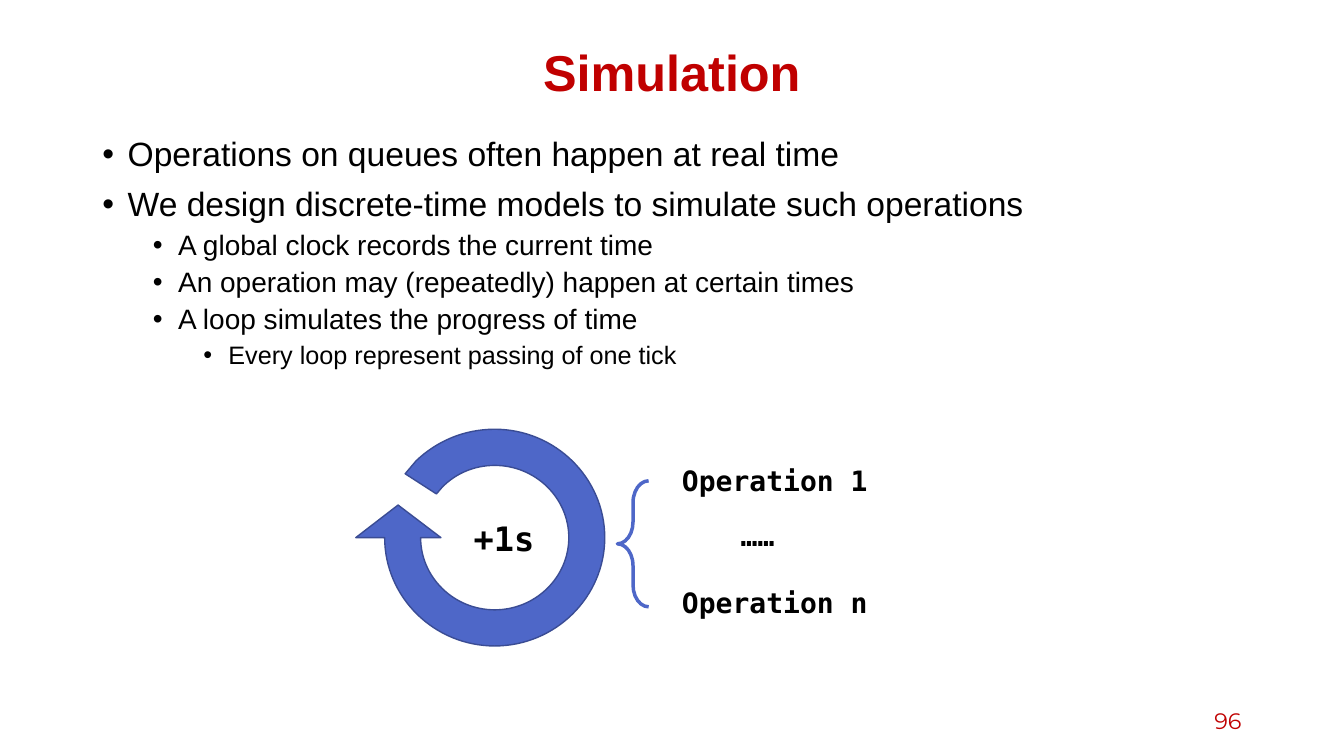
import pptx
import pptx.util
import pptx.dml.color
import pptx.enum.text
import pptx.enum.shapes
import pptx.oxml.ns
import lxml.etree

RED = pptx.dml.color.RGBColor(0xC0, 0x00, 0x00)
BLACK = pptx.dml.color.RGBColor(0x00, 0x00, 0x00)
BLUE = pptx.dml.color.RGBColor(0x4E, 0x67, 0xC8)
NAVY = pptx.dml.color.RGBColor(0x3A, 0x4C, 0x94)
SANS, MONO, THIN = "Arial", "DejaVu Sans Mono", "Montserrat"
ALIGN = pptx.enum.text.PP_ALIGN
MID = pptx.enum.text.MSO_ANCHOR.MIDDLE
TOP = pptx.enum.text.MSO_ANCHOR.TOP

TITLE = "Simulation"
POINTS = [
    (0, "Operations on queues often happen at real time"),
    (0, "We design discrete-time models to simulate such operations"),
    (1, "A global clock records the current time"),
    (1, "An operation may (repeatedly) happen at certain times"),
    (1, "A loop simulates the progress of time"),
    (2, "Every loop represent passing of one tick"),
]
LEVELS = [(24, 10), (20, 5), (18, 5)]
LABELS = [
    ("+1s", (55.2, 61.1, 10, 6), 24),
    ("Operation 1", (80, 54.6, 26.5, 5.3), 20),
    ("Operation n", (80, 69.1, 26.5, 5.3), 20),
    ("……", (87, 61.1, 13.3, 5.3), 20),
]
PAGE = "96"

COLS, ROWS = 160, 90
HUB = (58.9, 64)
OUTER, INNER = (13.1, 12.9), (8.82, 8.6)
BEND = 0.55
UP, RIGHT, DOWN, LEFT = (0, -1), (1, 0), (0, 1), (-1, 0)
HEAD = [(42.36, 64), (47.4, 60.12), (52.5, 64), (50.08, 64)]
INEND = [(56.4, 55.4), (54.24, 56.4), (52.68, 57.96)]
TAIL = [(51.96, 58.8), (48.24, 56.4), (49.56, 54.84)]
OUTEND = [(51.96, 52.56), (55.2, 51.1), (58.9, 51.1)]
PIVOT = (57.18, 64)
BRACE = (73.5, 57.24, 3.72, 15)

deck = pptx.Presentation()
deck.slide_width = pptx.util.Inches(40 / 3)
deck.slide_height = pptx.util.Inches(7.5)
slide = deck.slides.add_slide(deck.slide_layouts[1])
shapes = slide.shapes


def spot(x, y):
    return round(x * deck.slide_width / COLS), round(y * deck.slide_height / ROWS)


def place(shape, box):
    shape.left, shape.top = spot(*box[:2])
    shape.width, shape.height = spot(*box[2:])


def write(para, text, size, font=SANS, color=BLACK, bold=False,
          align=None, lines=None, before=0):
    para.alignment = align
    para.line_spacing = lines
    para.space_before = pptx.util.Pt(before)
    run = para.add_run()
    run.text = text
    run.font.size = pptx.util.Pt(size)
    run.font.name = font
    run.font.bold = bold
    run.font.color.rgb = color


def bullet(para, level):
    para.level = level
    props = para._p.get_or_add_pPr()
    props.set("marL", str(pptx.util.Inches(0.25 + level / 2)))
    props.set("indent", str(-pptx.util.Inches(0.25)))
    for tag, key, value in (("a:buFont", "typeface", SANS), ("a:buChar", "char", "•")):
        mark = lxml.etree.SubElement(props, pptx.oxml.ns.qn(tag))
        mark.set(key, value)


def label(text, box, size, anchor=TOP, **style):
    shape = shapes.add_textbox(0, 0, 0, 0)
    place(shape, box)
    frame = shape.text_frame
    frame.word_wrap = True
    frame.vertical_anchor = anchor
    write(frame.paragraphs[0], text, size, **style)


def rim(radii, *stops):
    for a, b in zip(stops, stops[1:]):
        sides = [(a[0] + BEND * b[0], a[1] + BEND * b[1]),
                 (b[0] + BEND * a[0], b[1] + BEND * a[1]), b]
        yield [(HUB[0] + radii[0] * x, HUB[1] + radii[1] * y) for x, y in sides]


def turn(x, y):
    return spot(PIVOT[0] + PIVOT[1] - y, PIVOT[1] + x - PIVOT[0])


def trace(start, steps):
    dots = [turn(*dot) for step in steps for dot in step]
    pen = shapes.build_freeform(*turn(*start))
    pen.add_line_segments(dots, close=True)
    shape = pen.convert_to_shape()
    lines = list(shape._element.iter(pptx.oxml.ns.qn("a:lnTo")))
    for step in steps:
        group, lines = lines[:len(step)], lines[len(step):]
        if len(step) == 3:
            curve = lxml.etree.Element(pptx.oxml.ns.qn("a:cubicBezTo"))
            group[0].addprevious(curve)
            for line in group:
                curve.append(line[0])
                line.getparent().remove(line)
    shape.rotation = 270
    return shape


def paint(shape, color, width):
    shape.shadow.inherit = False
    shape.line.color.rgb = color
    shape.line.width = pptx.util.Pt(width)


title = shapes.title
place(title, (11, 4.8, 138, 8.4))
title.text_frame.vertical_anchor = MID
write(title.text_frame.paragraphs[0], TITLE, 36, color=RED, bold=True,
      align=ALIGN.CENTER, lines=0.9)

body = slide.placeholders[1]
place(body, (11, 15.78, 138, 66.1))
frame = body.text_frame
frame.auto_size = pptx.enum.text.MSO_AUTO_SIZE.NONE
frame.vertical_anchor = TOP
for i, (level, text) in enumerate(POINTS):
    para = frame.add_paragraph() if i else frame.paragraphs[0]
    bullet(para, level)
    size, gap = LEVELS[level]
    write(para, text, size, lines=0.9, before=gap if i else 0)

ring = [*rim(OUTER, UP, RIGHT, DOWN, LEFT), *([dot] for dot in HEAD),
        *rim(INNER, LEFT, DOWN, RIGHT, UP), INEND,
        *([dot] for dot in TAIL), OUTEND]
loop = trace(OUTEND[-1], ring)
loop.fill.solid()
loop.fill.fore_color.rgb = BLUE
paint(loop, NAVY, 1)

for text, box, size in LABELS:
    label(text, box, size, font=MONO, bold=True)

brace = shapes.add_shape(pptx.enum.shapes.MSO_SHAPE.LEFT_BRACE, 0, 0, 0, 0)
place(brace, BRACE)
brace.adjustments[0] = 0.7
brace.fill.background()
paint(brace, BLUE, 2.5)

label(PAGE, (113, 83.4, 36, 4.8), 16, anchor=MID, font=THIN, color=RED,
      align=ALIGN.RIGHT)

deck.save("out.pptx")
